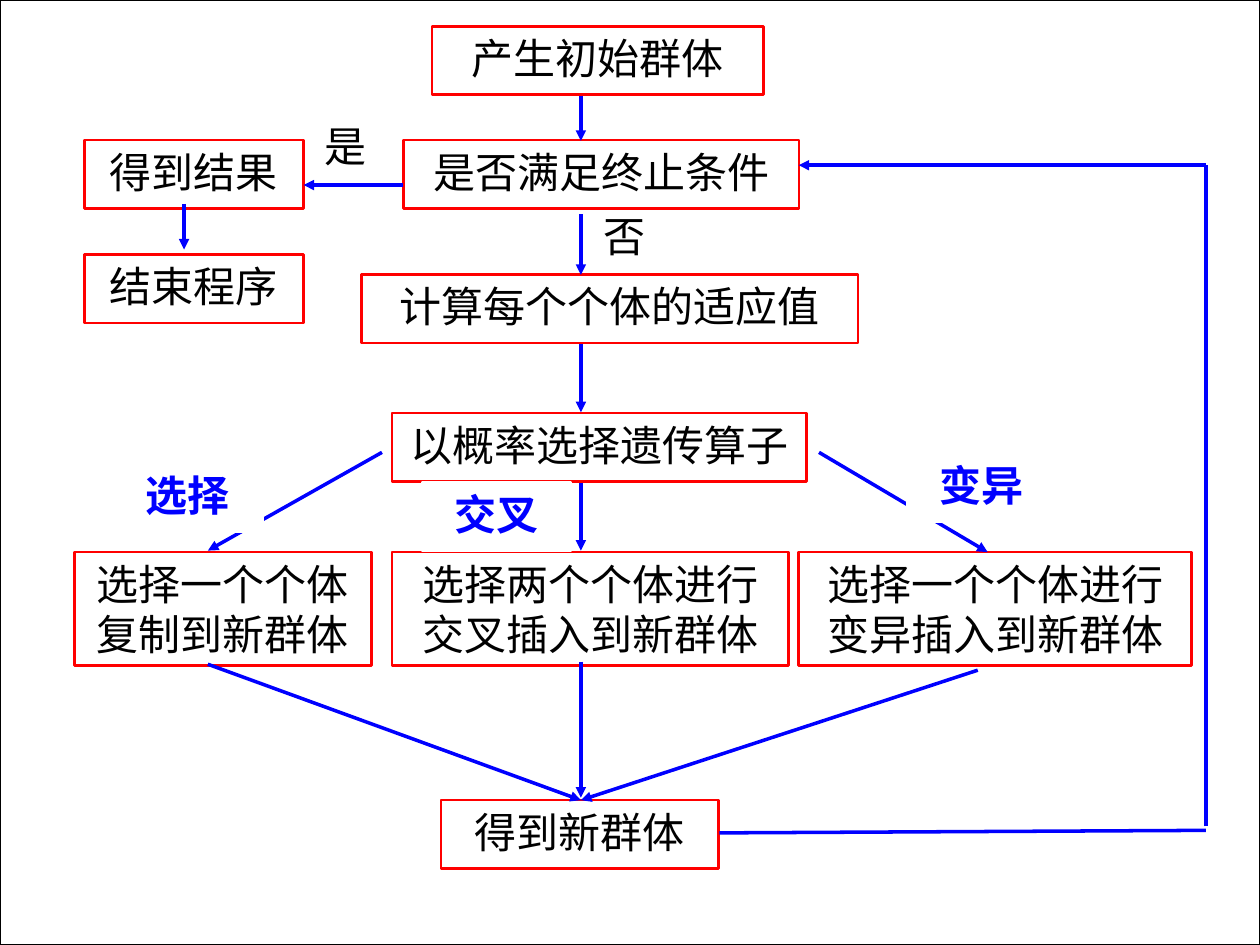
from lxml.etree import SubElement
from pptx import Presentation
from pptx.dml.color import RGBColor
from pptx.enum.shapes import MSO_CONNECTOR, MSO_SHAPE
from pptx.enum.text import MSO_ANCHOR, PP_ALIGN
from pptx.oxml.ns import qn
from pptx.util import Cm, Pt

WIDTH, HEIGHT = 25.4, 19.05
ROW, TALL_ROW = 1.38, 2.29
AXIS = 11.71
LOOP_X, LOOP_Y = 24.31, 3.33
MERGE_Y = 16.13
BRANCH_Y, OPERATION_Y = 9.12, 11.13

# text, left, top, width, height
STEPS = [
    ("产生初始群体", 8.71, 0.53, 6.68, ROW),
    ("是否满足终止条件", 8.13, 2.82, 7.98, ROW),
    ("得到结果", 1.7, 2.82, 4.42, ROW),
    ("结束程序", 1.7, 5.13, 4.42, ROW),
    ("计算每个个体的适应值", 7.29, 5.54, 10.01, ROW),
    ("以概率选择遗传算子", 7.9, 8.33, 8.36, ROW),
    ("选择一个个体复制到新群体", 1.5, OPERATION_Y, 5.99, TALL_ROW),
    ("选择两个个体进行\v交叉插入到新群体", 7.9, OPERATION_Y, 8, TALL_ROW),
    ("选择一个个体进行变异插入到新群体", 16.1, OPERATION_Y, 7.92, TALL_ROW),
    ("得到新群体", 8.89, MERGE_Y, 5.59, ROW),
]
# top and bottom of the arrows on the main axis
AXIS_ARROWS = [(1.93, 2.84), (4.32, 5.54), (6.93, 8.31), (9.73, 11.1), (13.34, 16.08)]
# start x, start y, end x, end y
OTHER_ARROWS = [
    (8.13, 3.73, 6.12, 3.73),
    (3.71, 4.11, 3.71, 5.03),
    (7.7, BRANCH_Y, 4.19, 11.1),
    (16.51, BRANCH_Y, 19.91, OPERATION_Y),
    (4.19, 13.39, AXIS, MERGE_Y),
    (19.71, 13.51, AXIS, MERGE_Y),
    (LOOP_X, LOOP_Y, 16.1, LOOP_Y),
]
LOOP_LINES = [(14.5, 16.79, LOOP_X, 16.74), (LOOP_X, 16.66, LOOP_X, LOOP_Y)]
ANSWERS = [("是", 6.3, 2.31), ("否", 11.91, 4.11)]
OPERATORS = [("变异", 18.29, 9.14), ("选择", 2.29, 9.35), ("交叉", 8.51, 9.73)]


def color(value):
    return RGBColor.from_string(value)


class Flowchart:
    font, size = "Times New Roman", 24
    ink, accent, border, paper = "000000", "0000FF", "FF0000", "FFFFFF"

    def __init__(self, page):
        self.page = page

    def label(self, shape, text, ink, bold=False, align=PP_ALIGN.CENTER):
        frame = shape.text_frame
        frame.word_wrap = True
        frame.vertical_anchor = MSO_ANCHOR.TOP
        frame.text = text
        para = frame.paragraphs[0]
        para.alignment = align
        para.font.name = self.font
        para.font.size = Pt(self.size)
        para.font.bold = bold
        para.font.color.rgb = color(ink)

    def rectangle(self, left, top, width, height, border, weight=1.5):
        shape = self.page.shapes.add_shape(
            MSO_SHAPE.RECTANGLE, Cm(left), Cm(top), Cm(width), Cm(height))
        shape.shadow.inherit = False
        shape.fill.solid()
        shape.fill.fore_color.rgb = color(self.paper)
        shape.line.color.rgb = color(border)
        shape.line.width = Pt(weight)
        return shape

    def step(self, text, *bounds):
        self.label(self.rectangle(*bounds, self.border), text, self.ink)

    def operator(self, text, left, top):
        """Bold branch name on a patch that covers the arrow behind it."""
        patch = self.rectangle(left, top, 3, ROW, self.paper)
        self.label(patch, text, self.accent, bold=True)

    def answer(self, text, left, top):
        box = self.page.shapes.add_textbox(Cm(left), Cm(top), Cm(1.54), Cm(ROW))
        self.label(box, text, self.ink, align=PP_ALIGN.JUSTIFY)

    def line(self, *ends, arrow=False):
        connector = self.page.shapes.add_connector(
            MSO_CONNECTOR.STRAIGHT, *(Cm(value) for value in ends))
        connector.line.color.rgb = color(self.accent)
        connector.line.width = Pt(2)
        properties = connector.element.spPr
        if arrow:
            SubElement(properties.find(qn("a:ln")), qn("a:tailEnd"), type="triangle")
        SubElement(properties, qn("a:effectLst"))


def main():
    deck = Presentation()
    deck.slide_width, deck.slide_height = Cm(WIDTH), Cm(HEIGHT)
    blank_layout = deck.slide_layouts[6]
    chart = Flowchart(deck.slides.add_slide(blank_layout))

    chart.rectangle(0, 0, WIDTH, HEIGHT, chart.ink, 0.75)
    for step in STEPS:
        chart.step(*step)
    for top, bottom in AXIS_ARROWS:
        chart.line(AXIS, top, AXIS, bottom, arrow=True)
    for ends in OTHER_ARROWS:
        chart.line(*ends, arrow=True)
    for ends in LOOP_LINES:
        chart.line(*ends)
    for answer in ANSWERS:
        chart.answer(*answer)
    for operator in OPERATORS:
        chart.operator(*operator)

    deck.save("out.pptx")


if __name__ == "__main__":
    main()
